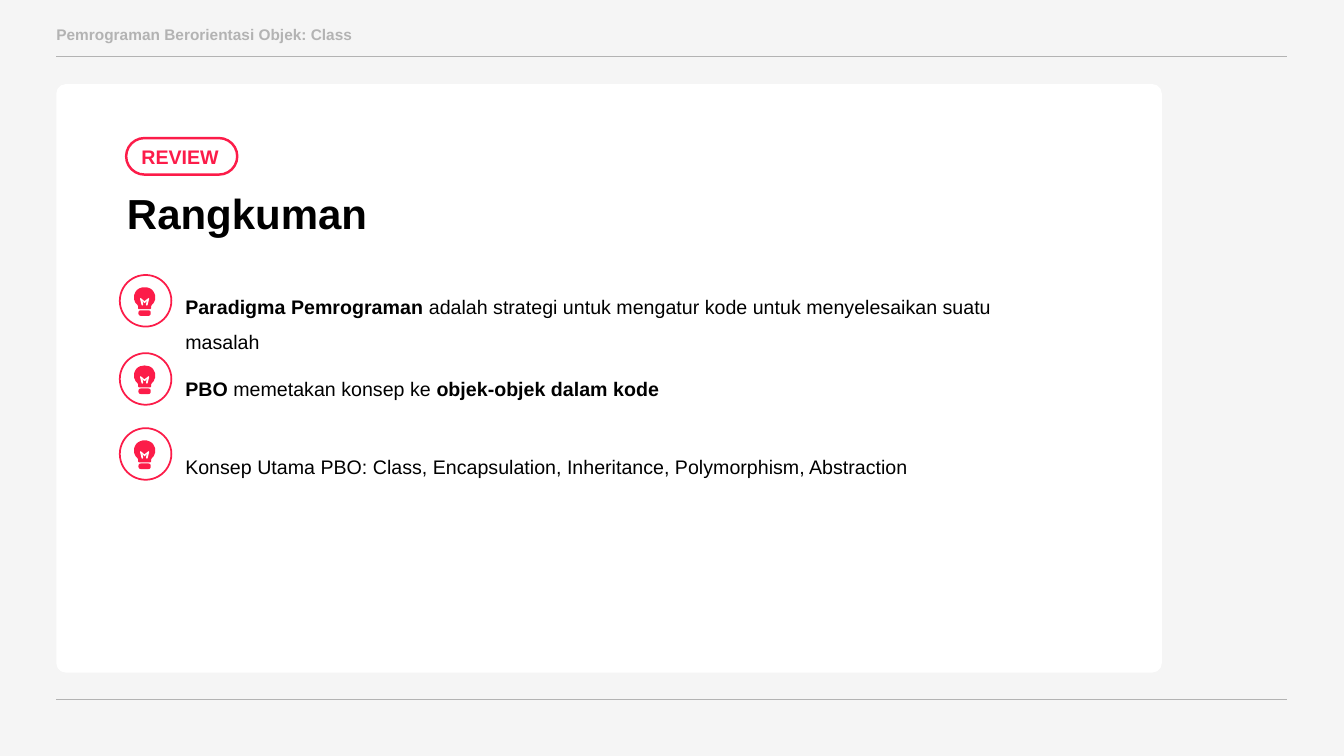
from pptx import Presentation
from pptx import util as u
from pptx.dml.color import RGBColor
from pptx.enum import shapes, text
from pptx.oxml.ns import qn
from lxml import etree

RED = RGBColor(0xFC, 0x1C, 0x49)
GREY = RGBColor(0xB3, 0xB3, 0xB3)
PALE = RGBColor(0xF5, 0xF5, 0xF5)
WHITE = RGBColor(255, 255, 255)
BLACK = RGBColor(0, 0, 0)
KIND = shapes.MSO_SHAPE

ROWS = [
    (6.93, 7.01, 21.01, 1.42, [
        ("Paradigma Pemrograman", True),
        (" adalah strategi untuk mengatur kode untuk menyelesaikan suatu masalah", False)]),
    (8.9, 9.09, 22.07, 1.42, [
        ("PBO ", True), ("memetakan konsep ke ", False),
        ("objek-objek dalam kode", True)]),
    (10.79, 11.05, 20.65, 1.17, [
        ("Konsep Utama PBO: Class, Encapsulation, Inheritance, Polymorphism, Abstraction", False)]),
]


def paint(shape, fill, line=None, width=1.0):
    shape.shadow.inherit = False
    shape.fill.solid()
    shape.fill.fore_color.rgb = fill
    if line is None:
        shape.line.fill.background()
    else:
        shape.line.color.rgb = line
        shape.line.width = u.Pt(width)
    return shape


def block(slide, kind, box, fill, line=None, width=1.0, round=None):
    shape = slide.shapes.add_shape(kind, *map(u.Cm, box))
    if round is not None:
        shape.adjustments[0] = round
    return paint(shape, fill, line, width)


def write(shape, runs, size=14, color=BLACK, space=None, anchor=text.MSO_ANCHOR.TOP):
    frame = shape.text_frame
    frame.word_wrap = True
    frame.vertical_anchor = anchor
    para = frame.paragraphs[0]
    para.alignment = text.PP_ALIGN.LEFT
    para.line_spacing = space
    for words, bold in runs:
        run = para.add_run()
        run.text = words
        run.font.name = "Arial"
        run.font.size = u.Pt(size)
        run.font.bold = bold
        run.font.color.rgb = color


def label(slide, box, runs, **style):
    write(slide.shapes.add_textbox(*map(u.Cm, box)), runs, **style)


def rule(slide, left, top, width):
    line = slide.shapes.add_connector(
        shapes.MSO_CONNECTOR.STRAIGHT,
        u.Cm(left), u.Cm(top), u.Cm(left + width), u.Cm(top))
    line.line.color.rgb = GREY
    line.line.width = u.Pt(0.75)
    etree.SubElement(line._element.spPr, qn("a:effectLst"))


def curve(a, b, c, d, steps=8):
    spots = [i / steps for i in range(steps + 1)]
    return [tuple((1 - t) ** 3 * p + 3 * (1 - t) ** 2 * t * q
                  + 3 * (1 - t) * t ** 2 * r + t ** 3 * s
                  for p, q, r, s in zip(a, b, c, d)) for t in spots]


def mirror(slide, left, top, half, fill):
    axis = 62.5
    points = half + [(2 * axis - x, y) for x, y in reversed(half)]
    spots = [(left * 100 + x, top * 100 + y) for x, y in points]
    path = slide.shapes.build_freeform(*spots[0], scale=u.Cm(0.01))
    path.add_line_segments(spots[1:], close=True)
    paint(path.convert_to_shape(), fill)


def bulb(slide, left, top, size):
    block(slide, KIND.OVAL, (left, top, size, size), WHITE, RED, 1.25)
    glass = (curve((62.5, 31), (46, 31), (36, 42), (36, 56))
             + curve((36, 56), (36, 64), (38, 70), (43, 74))
             + curve((43, 74), (46, 76), (46, 79), (46, 82))
             + curve((46, 82), (46, 85), (48, 86), (50, 86)))
    mirror(slide, left, top, glass, RED)
    block(slide, KIND.ROUNDED_RECTANGLE,
          (left + 0.47, top + 0.89, 0.31, 0.14), RED, round=0.4)
    wire = [(62.5, 66), (54, 59), (52, 58), (51, 60), (55, 76),
            (57, 77), (59, 75), (57, 64), (61, 70), (62.5, 70.5)]
    mirror(slide, left, top, wire, WHITE)


def frame(slide, left, top, width, height):
    fill = slide.background.fill
    fill.solid()
    fill.fore_color.rgb = PALE
    rule(slide, left, top, width)
    rule(slide, left, top + height, width)
    label(slide, (left - 0.25, top - 0.92, 14.83, 0.74),
          [("Pemrograman Berorientasi Objek: Class", True)], size=11, color=GREY)


def review(slide, left, top, width, height):
    block(slide, KIND.ROUNDED_RECTANGLE, (left, top, width, height),
          WHITE, round=0.016)
    label(slide, (left + 1.53, top + 2.22, 10.64, 1.7),
          [("Rangkuman", True)], size=30, space=1.21)
    badge = block(slide, KIND.ROUNDED_RECTANGLE,
                  (left + 1.76, top + 1.36, 2.8, 0.92),
                  WHITE, RED, 1.75, round=0.5)
    write(badge, [("REVIEW", True)], color=RED, anchor=text.MSO_ANCHOR.MIDDLE)
    for icon, line, wide, high, runs in ROWS:
        label(slide, (left + 3, line, wide, high), runs, space=1.49)
        bulb(slide, left + 1.6, icon, 1.3)


def main():
    deck = Presentation()
    deck.slide_width, deck.slide_height = u.Cm(33.87), u.Cm(19.05)
    slide = deck.slides.add_slide(deck.slide_layouts[6])
    frame(slide, 1.42, 1.42, 31.01, 16.2)
    review(slide, 1.42, 2.12, 27.86, 14.83)
    deck.save("out.pptx")


if __name__ == "__main__":
    main()
